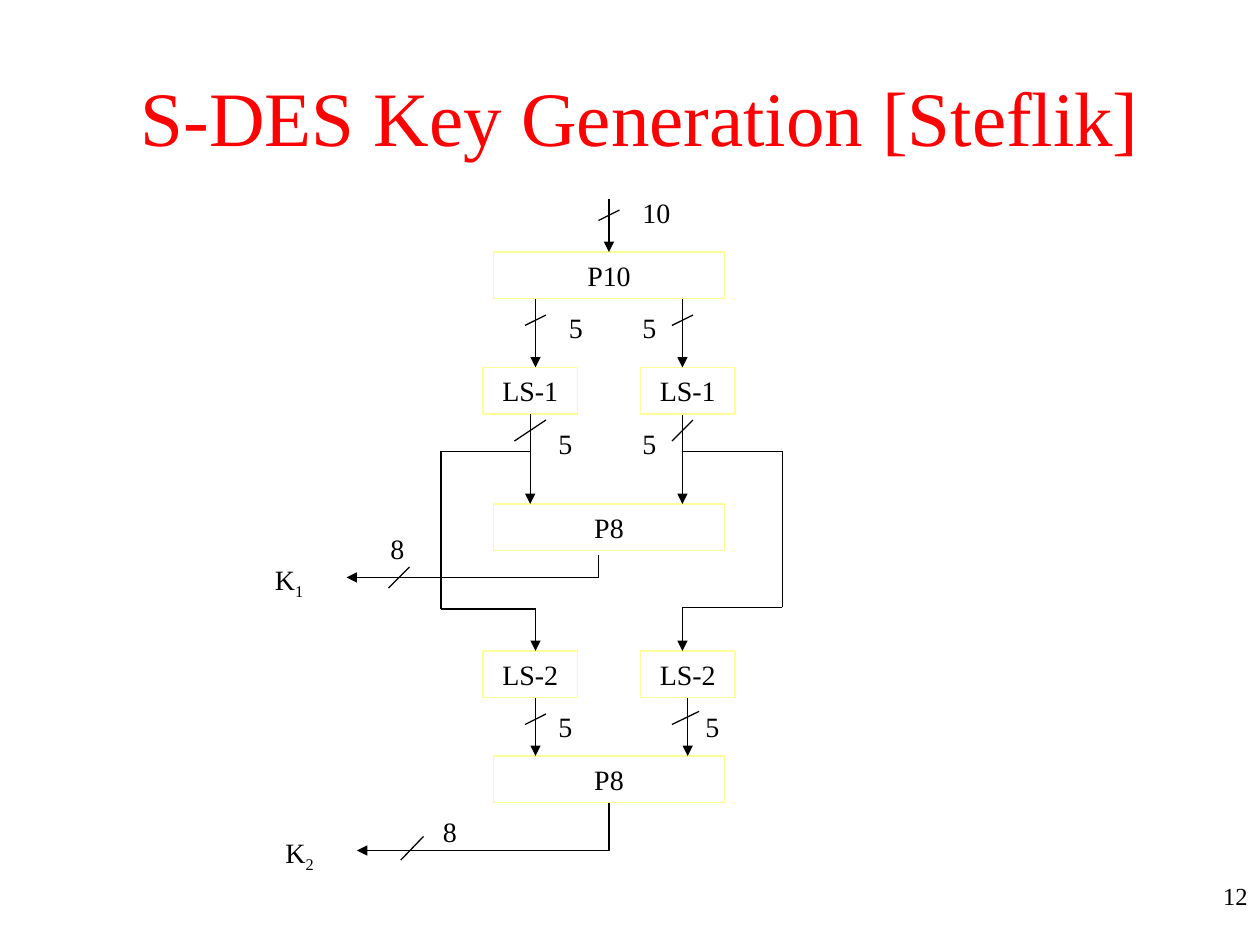
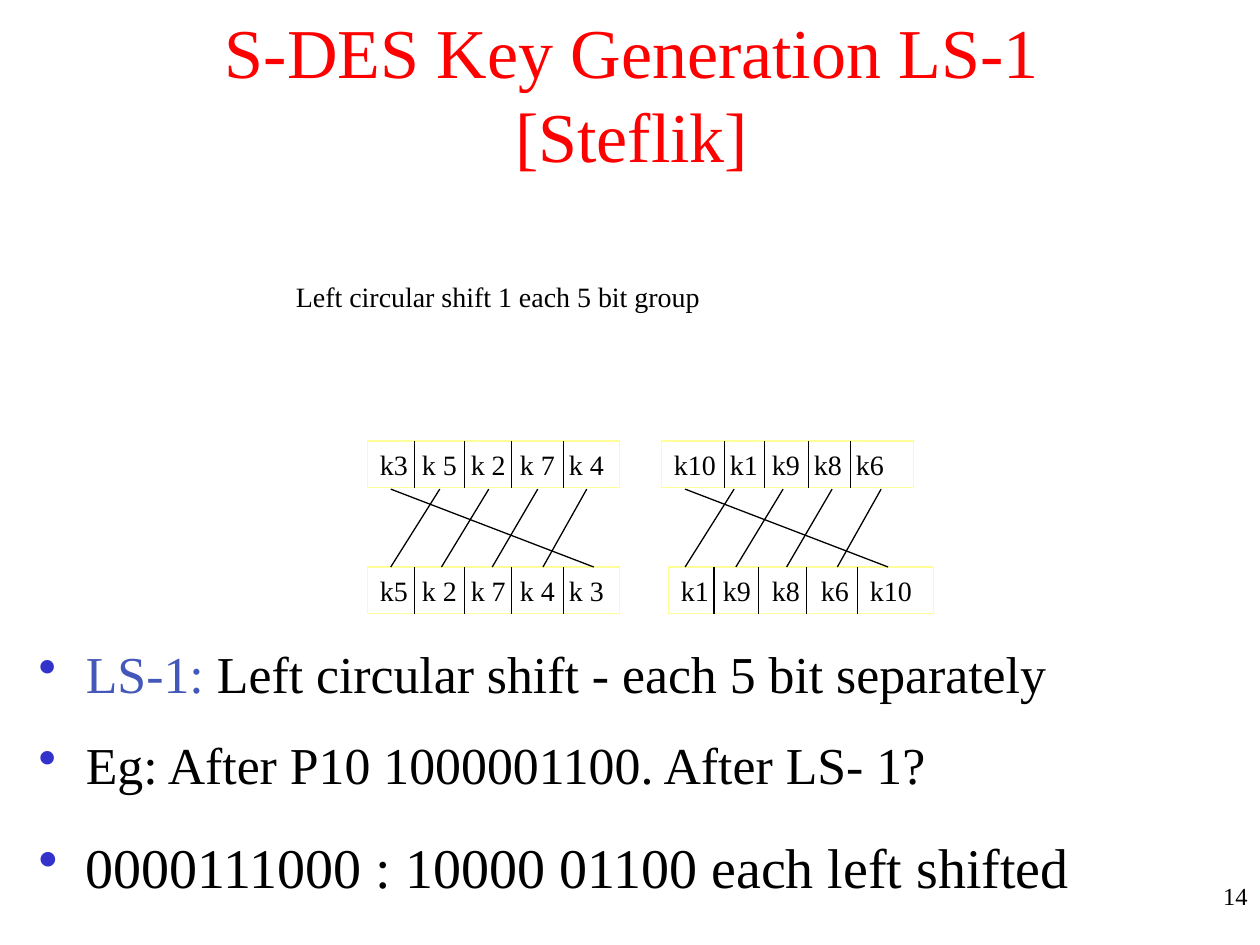
from lxml.etree import SubElement
from pptx import Presentation
from pptx.dml.color import RGBColor
from pptx.enum.shapes import MSO_CONNECTOR, MSO_SHAPE
from pptx.enum.text import MSO_ANCHOR, PP_ALIGN
from pptx.oxml.ns import qn
from pptx.util import Pt

COLORS = {"title": "FF0000", "text": "000000", "box": "FFFF99",
          "bullet": "3333CC", "accent": "4458BA"}
FONT = "Times New Roman"
BOX_HEIGHT = 26.6
TOP, BOTTOM = 0, 2

# Slide 1: key schedule blocks as name: (label, left, top, width)
BLOCKS = {
    "P10": ("P10", 282, 144, 132),
    "first P8": ("P8", 282, 288, 132),
    "second P8": ("P8", 282, 432, 132),
    "LS-1 left": ("LS-1", 276, 210, 54),
    "LS-1 right": ("LS-1", 366, 210, 54),
    "LS-2 left": ("LS-2", 276, 372, 54),
    "LS-2 right": ("LS-2", 366, 372, 54),
}
# Routes: points, arrow at the end, start block, end block
ROUTES = [
    ([(348, 114), (348, 144)], True, None, "P10"),
    ([(306, 171), (306, 210)], True, None, None),
    ([(390, 171), (390, 210)], True, None, None),
    ([(303, 237), (303, 288)], True, "LS-1 left", None),
    ([(390, 237), (390, 288)], True, None, None),
    ([(306, 399), (306, 432)], True, None, None),
    ([(393, 399), (393, 432)], True, "LS-2 right", None),
    ([(342, 317), (342, 330), (198, 330)], True, None, None),
    ([(348, 459), (348, 486), (204, 486)], True, "second P8", None),
    ([(303, 258), (252, 258), (252, 348), (306, 348), (306, 372)], True, None, None),
    ([(390, 258), (447, 258), (447, 347), (390, 347), (390, 372)], True, None, None),
]
# Bit-width slashes: right x, top y, width, height
SLASHES = [(354, 120, 12, 6), (312, 180, 12, 6), (396, 180, 12, 6),
           (312, 240, 18, 12), (396, 240, 12, 12), (234, 324, 12, 12),
           (312, 408, 12, 6), (399.5, 406.5, 15.5, 7.5), (242, 478, 13, 13.5)]
BIT_WIDTHS = [("10", 360, 108), ("5", 318, 174), ("5", 360, 174),
              ("5", 312, 240), ("5", 360, 240), ("8", 216, 300),
              ("5", 312, 402), ("5", 396, 402), ("8", 246, 462)]
SUBKEYS = [("1", 150, 318), ("2", 156, 474)]

# Slide 2: rows as keys, left, top, width, tab stops, divider positions
EVEN_TABS, LEFT_DIVIDERS = (24, 52, 80, 108), (237, 265.5, 292.5, 322)
KEY_ROWS = [
    (["k3", "k 5", "k 2", "k 7", "k 4"], 210, 252, 144, EVEN_TABS, LEFT_DIVIDERS),
    (["k5", "k 2", "k 7", "k 4", "k 3"], 210, 324, 144, EVEN_TABS, LEFT_DIVIDERS),
    (["k10", "k1", "k9", "k8", "k6"], 378, 252, 144,
     (32, 56, 80, 104), (414, 437, 462, 486)),
    (["k1", "k9", "k8", "k6", "k10"], 382, 324, 151.5,
     EVEN_TABS, (408, 433.5, 461, 490)),
]
SHIFT_STARTS = (223.3, 391.5)
GROUP_SIZE = 5
BULLET_BOXES = [
    ((15, 367.2, 666.7, 97.9), 29.6, 0.9, [
        [("LS-1:", "accent"), (" Left circular shift - each 5 bit separately", "text")],
        [("Eg: After P10 1000001100. After LS- 1?", "text")]]),
    ((15, 472.3, 642.2, 53.3), 32, 1, [
        [("0000111000 : 10000 01100 each left shifted", "text")]]),
]


def color(name):
    return RGBColor.from_string(COLORS[name])


def add_run(para, text, size, color_name="text"):
    span = para.add_run()
    span.text = text
    span.font.name = FONT
    span.font.size = Pt(size)
    span.font.color.rgb = color(color_name)
    return span


def set_margins(frame):
    frame.word_wrap = True
    frame.margin_left = frame.margin_right = Pt(7.2)
    frame.margin_top = frame.margin_bottom = Pt(3.6)


def add_text(page, text, left, top, width, height=BOX_HEIGHT, size=16,
             color_name="text", align=PP_ALIGN.LEFT, anchor=MSO_ANCHOR.TOP):
    box = page.shapes.add_textbox(Pt(left), Pt(top), Pt(width), Pt(height))
    set_margins(box.text_frame)
    box.text_frame.vertical_anchor = anchor
    para = box.text_frame.paragraphs[0]
    para.alignment = align
    add_run(para, text, size, color_name)
    return para


def add_box(page, text, left, top, width, align=PP_ALIGN.CENTER):
    box = page.shapes.add_shape(MSO_SHAPE.RECTANGLE, Pt(left), Pt(top),
                                Pt(width), Pt(BOX_HEIGHT))
    box.shadow.inherit = False
    box.fill.background()
    box.line.color.rgb = color("box")
    box.line.width = Pt(0.75)
    set_margins(box.text_frame)
    box.text_frame.vertical_anchor = MSO_ANCHOR.TOP
    para = box.text_frame.paragraphs[0]
    para.alignment = align
    add_run(para, text, 16)
    return box


def add_line(page, start, end, arrow=False):
    line = page.shapes.add_connector(MSO_CONNECTOR.STRAIGHT,
                                     *(Pt(value) for value in (*start, *end)))
    line.line.color.rgb = color("text")
    line.line.width = Pt(0.75)
    if arrow:
        SubElement(line.line._get_or_add_ln(), qn("a:tailEnd"), type="triangle")
    SubElement(line._element.spPr, qn("a:effectLst"))
    return line


def add_page(deck, title, number, title_area, title_size):
    page = deck.slides.add_slide(deck.slide_layouts[6])
    add_text(page, number, 688.3, 499.7, 31.7, 28, 14, align=PP_ALIGN.RIGHT)
    add_text(page, title, *title_area, title_size, "title",
             PP_ALIGN.CENTER, MSO_ANCHOR.MIDDLE)
    return page


def add_route(page, points, arrow, first, last):
    segments = list(zip(points, points[1:]))
    lines = [add_line(page, start, end, arrow and index == len(segments) - 1)
             for index, (start, end) in enumerate(segments)]
    if first:
        lines[0].begin_connect(first, BOTTOM)
    if last:
        lines[-1].end_connect(last, TOP)


def add_tabs(para, stops):
    tab_list = SubElement(para._p.get_or_add_pPr(), qn("a:tabLst"))
    for stop in stops:
        SubElement(tab_list, qn("a:tab"), pos=str(Pt(stop)), algn="l")


def add_bullet(para):
    properties = para._p.get_or_add_pPr()
    properties.set("marL", str(Pt(27)))
    properties.set("indent", str(Pt(-27)))
    bullet_color = SubElement(properties, qn("a:buClr"))
    SubElement(bullet_color, qn("a:srgbClr"), val=COLORS["bullet"])
    SubElement(properties, qn("a:buChar"), char="•")


def add_bullets(page, area, size, spacing, items):
    box = page.shapes.add_textbox(*(Pt(value) for value in area))
    frame = box.text_frame
    set_margins(frame)
    for index, item in enumerate(items):
        para = frame.add_paragraph() if index else frame.paragraphs[0]
        add_bullet(para)
        para.line_spacing = spacing
        if index:
            para.space_before = Pt(20)
        for text, color_name in item:
            add_run(para, text, size, color_name)


def build_key_generation(deck):
    page = add_page(deck, "S-DES Key Generation [Steflik]", "12",
                    (60, 36, 612, 60), 44)
    blocks = {name: add_box(page, *block) for name, block in BLOCKS.items()}
    for points, arrow, first, last in ROUTES:
        add_route(page, points, arrow, blocks.get(first), blocks.get(last))
    for right, top, width, height in SLASHES:
        add_line(page, (right, top), (right - width, top + height))

    # Bit widths and subkey names
    for text, left, top in BIT_WIDTHS:
        add_text(page, text, left, top, 12 + 12 * len(text))
    for index, left, top in SUBKEYS:
        para = add_text(page, "K", left, top, 36, 29.5)
        subscript = add_run(para, index, 16)
        subscript.font._element.set("baseline", "-25000")


def build_left_shift(deck):
    page = add_page(deck, "S-DES Key Generation LS-1 [Steflik]", "14",
                    (54, 0, 614, 106), 40)
    add_text(page, "Left circular shift 1 each 5 bit group", 162, 156, 342)

    # Key rows with dividers
    for keys, left, top, width, stops, dividers in KEY_ROWS:
        row = add_box(page, "\t".join(keys), left, top, width, PP_ALIGN.LEFT)
        add_tabs(row.text_frame.paragraphs[0], stops)
        for x in dividers:
            add_line(page, (x, top), (x, top + 27))

    # Each key moves one place left, the first goes to the end
    for start in SHIFT_STARTS:
        for place in range(GROUP_SIZE):
            target = (place - 1) % GROUP_SIZE
            add_line(page, (start + 28 * place, 279.5), (start + 29 * target, 324))

    for bullets in BULLET_BOXES:
        add_bullets(page, *bullets)


def main():
    deck = Presentation()
    deck.slide_width, deck.slide_height = Pt(720), Pt(540)
    build_key_generation(deck)
    build_left_shift(deck)
    deck.save("out.pptx")


if __name__ == "__main__":
    main()
